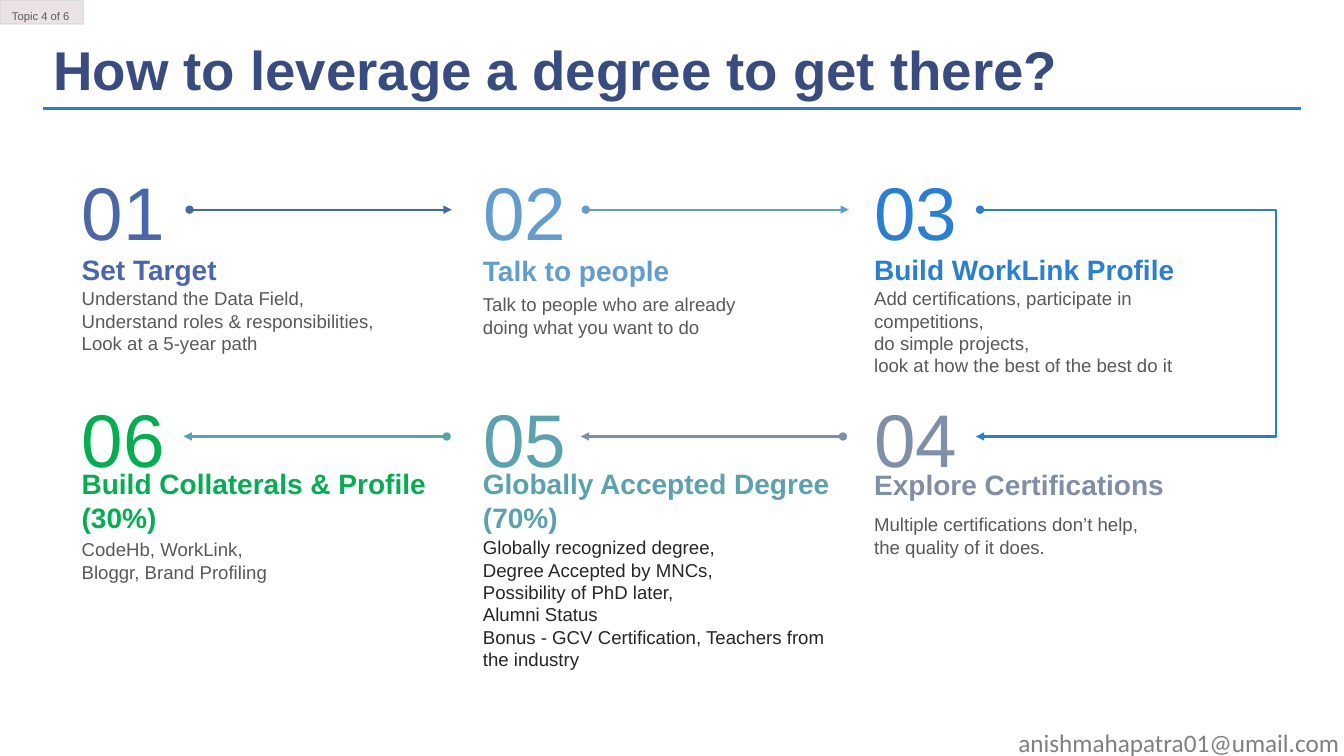
from lxml import etree
from pptx import Presentation
from pptx.dml.color import RGBColor
from pptx.enum.shapes import MSO_CONNECTOR, MSO_SHAPE
from pptx.enum.text import MSO_ANCHOR, PP_ALIGN
from pptx.oxml.ns import qn
from pptx.util import Inches, Pt

STRAIGHT, ELBOW = MSO_CONNECTOR.STRAIGHT, MSO_CONNECTOR.ELBOW
TOP, MIDDLE = MSO_ANCHOR.TOP, MSO_ANCHOR.MIDDLE
LEFT, CENTER = PP_ALIGN.LEFT, PP_ALIGN.CENTER
GREY, INK, BLUE = "595959", "262626", "297FD5"

prs = Presentation()
prs.slide_width, prs.slide_height = Inches(13.33), Inches(7.5)
slide = prs.slides.add_slide(prs.slide_layouts[6])


def add_text(text, left, top, width, height, size=13.3, color=GREY, bold=False,
             font="Arial", align=LEFT, anchor=TOP, wrap=True, inset=(0, 0),
             spacing=None):
    """Lines split by \\n become paragraphs, by \\v line breaks; inset is (side, top)."""
    box = slide.shapes.add_textbox(Inches(left), Inches(top), Inches(width), Inches(height))
    frame = box.text_frame
    frame.word_wrap, frame.vertical_anchor = wrap, anchor
    frame.margin_left = frame.margin_right = Inches(inset[0])
    frame.margin_top, frame.margin_bottom = Inches(inset[1]), 0
    frame.text = text
    for paragraph in frame.paragraphs:
        paragraph.alignment, paragraph.line_spacing = align, spacing
        for run in paragraph.runs:
            run.font.name, run.font.size, run.font.bold = font, Pt(size), bold
            run.font.color.rgb = RGBColor.from_string(color)


def add_line(x1, y1, x2, y2, color, width=1.5, kind=STRAIGHT, head=None, tail=None):
    line = slide.shapes.add_connector(kind, Inches(x1), Inches(y1), Inches(x2), Inches(y2))
    line.line.color.rgb = RGBColor.from_string(color)
    line.line.width = Pt(width)
    for tag, end in (("a:headEnd", head), ("a:tailEnd", tail)):
        if end:
            etree.SubElement(line.line._ln, qn(tag)).set("type", end)
    etree.SubElement(line._element.spPr, qn("a:effectLst"))
    return line


# Header rule, topic badge and contact
add_line(12.9, 1.08, 0.43, 1.08, BLUE, width=2.25)
badge = slide.shapes.add_shape(MSO_SHAPE.RECTANGLE, 0, 0, Inches(0.83), Inches(0.24))
badge.shadow.inherit = False
badge.fill.solid()
badge.fill.fore_color.rgb = RGBColor.from_string("7A4646")
badge.line.color.rgb = RGBColor.from_string("1F5FA0")
badge.line.width = Pt(1)
for tint, alpha in zip(badge._element.spPr.iter(qn("a:srgbClr")), ("15000", "10000")):
    etree.SubElement(tint, qn("a:alpha")).set("val", alpha)
add_text("anishmahapatra01@umail.com", 10.1, 7.17, 3.23, 0.33, size=18, color="808080",
         font="Calibri", wrap=False, inset=(0, 0.05))

# Title and topic
add_text("How to leverage a degree to get there?", 0.43, 0.31, 10.32, 0.76, size=39,
         color="384C81", bold=True, inset=(0.1, 0.05))
add_text("Topic 4 of 6", 0.02, -0.02, 0.81, 0.28, size=8, inset=(0.1, 0.05), spacing=1.5)

# Steps: number, column, row, colour, (heading, top, width, height),
# (details, top, width, height), details colour, (arrow from, to)
COLUMNS, ROWS = (0.81, 4.79, 8.67), (1.65, 3.9)
ARROW_DROP = 0.43
steps = [
    ("01", 0, 0, "4A66AC", ("Set Target", 2.5, 1.35, 0.34),
     ("Understand the Data Field,\nUnderstand roles & responsibilities,\n"
      "Look at a 5-year path", 2.85, 3.39, 0.67), GREY, (1.88, 4.48)),
    ("02", 1, 0, "629DD1", ("Talk to people", 2.51, 1.86, 0.34),
     ("Talk to people who are already doing what you want to do", 2.91, 2.97, 0.45),
     GREY, (5.81, 8.42)),
    ("03", 2, 0, BLUE, ("Build WorkLink Profile", 2.5, 3.5, 0.34),
     ("Add certifications, participate in competitions,\vdo simple projects,\v"
      "look at how the best of the best do it", 2.85, 3.3, 0.9), GREY, None),
    ("04", 2, 1, "7F8FA9", ("Explore Certifications", 4.63, 2.97, 0.34),
     ("Multiple certifications don’t help,\vthe quality of it does.", 5.09, 3.37, 0.45),
     GREY, (8.36, 5.76)),
    ("05", 1, 1, "5AA2AE", ("Globally Accepted Degree\v(70%)", 4.63, 3.54, 0.67),
     ("Globally recognized degree,\vDegree Accepted by MNCs,\nPossibility of PhD later,\n"
      "Alumni Status\nBonus - GCV Certification, Teachers from the industry",
      5.32, 3.63, 1.34), INK, (4.43, 1.82)),
    ("06", 0, 1, "00B050", ("Build Collaterals & Profile\v(30%)", 4.63, 3.44, 0.67),
     ("CodeHb, WorkLink,\nBloggr, Brand Profiling", 5.34, 3.57, 0.45), GREY, None),
]
for number, column, row, color, heading, details, details_color, arrow in steps:
    left, top = COLUMNS[column], ROWS[row]
    add_text(number, left, top, 0.83, 0.9, size=53.3, color=color, align=CENTER,
             wrap=False)
    add_text(details[0], left, *details[1:], color=details_color)
    add_text(heading[0], left, *heading[1:], size=20, color=color, bold=True,
             anchor=MIDDLE, wrap=False)
    if arrow:
        y = top + ARROW_DROP
        add_line(arrow[0], y, arrow[1], y, color, head="oval", tail="triangle")

# Turn from step 03 down to step 04
upper, lower = (top + ARROW_DROP for top in ROWS)
add_line(9.72, upper, 12.32, upper, BLUE, head="oval")
turn = add_line(12.32, upper, 9.68, lower, BLUE, kind=ELBOW, tail="triangle")
bend = etree.SubElement(turn._element.spPr.find(qn("a:prstGeom")).find(qn("a:avLst")),
                        qn("a:gd"))
bend.set("name", "adj1")
bend.set("fmla", "val -12900")

prs.save("out.pptx")
